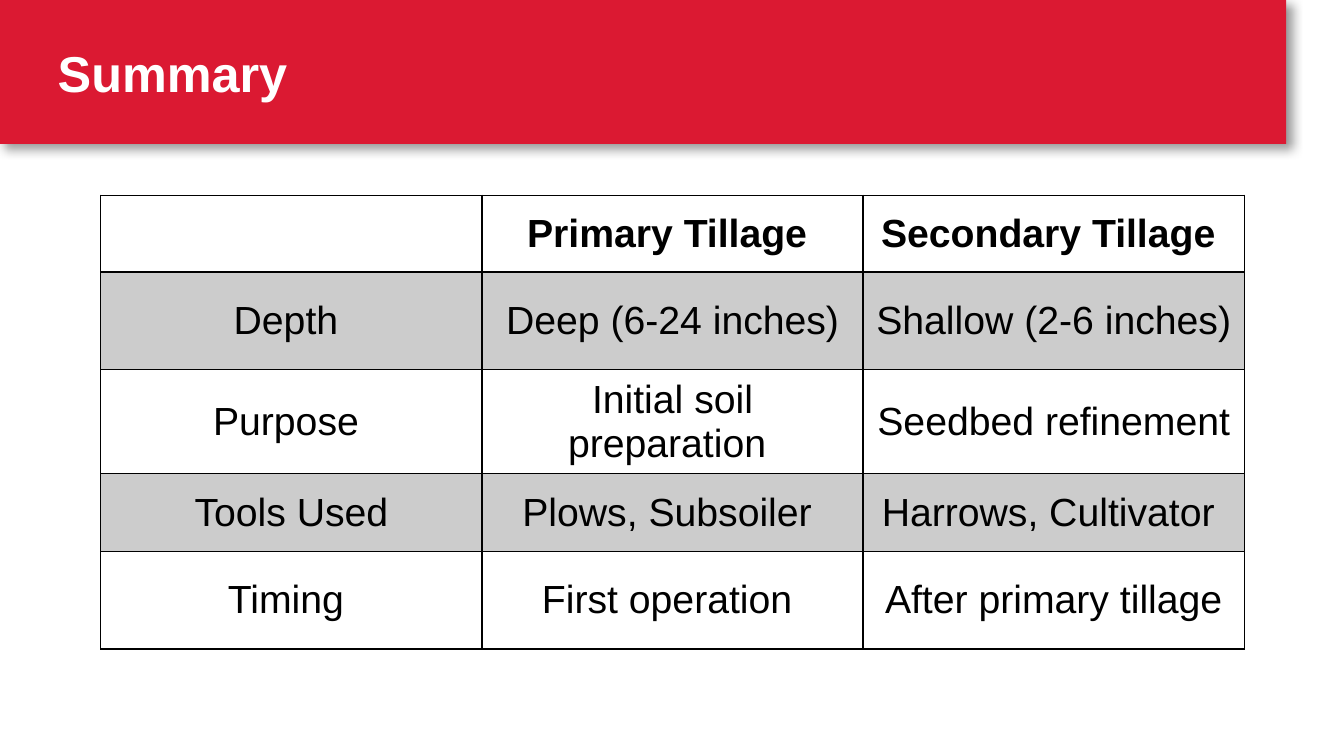
import pptx
import pptx.util
import pptx.dml.color
import pptx.enum.shapes
import pptx.enum.text
import pptx.oxml
import pptx.oxml.ns

PX = 9525
ROWS = [
    ("", "Primary Tillage ", "Secondary Tillage "),
    ("Depth ", "Deep (6-24 inches)", "Shallow (2-6 inches)"),
    ("Purpose ", "Initial soil preparation ", "Seedbed refinement "),
    ("Tools Used", "Plows, Subsoiler ", "Harrows, Cultivator "),
    ("Timing ", "First operation ", "After primary tillage"),
]
ROW_HEIGHTS = [73, 93, 93, 74, 93]


def px(*lengths):
    return [pptx.util.Emu(n * PX) for n in lengths]


def rgb(color):
    return pptx.dml.color.RGBColor.from_string(color)


def xml(body):
    ns = pptx.oxml.ns.nsdecls("a")
    return pptx.oxml.parse_xml(body.replace(" ", f" {ns} ", 1))


def write(tf, text, size=28, color="000000", bold=False, align="LEFT", spacing=None):
    p = tf.paragraphs[0]
    p.alignment = getattr(pptx.enum.text.PP_ALIGN, align)
    p.line_spacing = spacing
    if not text:
        return
    r = p.add_run()
    r.text = text
    r.font.name = "Arial"
    r.font.size = pptx.util.Pt(size)
    r.font.bold = bold
    r.font.color.rgb = rgb(color)


def add_banner(s, x, y, w, h, title):
    sp = s.shapes.add_shape(pptx.enum.shapes.MSO_SHAPE.RECTANGLE, *px(x, y, w, h))
    sp.fill.solid()
    sp.fill.fore_color.rgb = rgb("DB1932")
    sp.line.fill.background()
    sp.shadow.inherit = False
    effects = sp.element.spPr.find(pptx.oxml.ns.qn("a:effectLst"))
    effects.append(xml(
        '<a:outerShdw blurRad="101600" dist="63500" dir="2700000" algn="tl" rotWithShape="0">'
        '<a:srgbClr val="000000"><a:alpha val="40000"/></a:srgbClr></a:outerShdw>'))

    box = s.shapes.add_textbox(*px(x + 55, y + 12, w - 94, h - 13))
    tf = box.text_frame
    tf.word_wrap = True
    tf.margin_left = tf.margin_top = tf.margin_right = tf.margin_bottom = 0
    tf.vertical_anchor = pptx.enum.text.MSO_ANCHOR.MIDDLE
    write(tf, title, size=36, color="FFFFFF", bold=True, spacing=0.8)


def set_borders(cell, widths):
    tcPr = cell._tc.get_or_add_tcPr()
    for side, width in widths.items():
        tcPr.append(xml(
            f'<a:ln{side} w="{width * 12700}">'
            '<a:solidFill><a:srgbClr val="000000"/></a:solidFill>'
            f'</a:ln{side}>'))


def set_fill(cell, shaded):
    if not shaded:
        cell.fill.background()
        return
    cell.fill.solid()
    cell.fill.fore_color.rgb = rgb("000000")
    color = next(cell._tc.tcPr.find(pptx.oxml.ns.qn("a:solidFill")).iterchildren())
    color.append(xml('<a:alpha val="20000"/>'))


def add_summary_table(s, x, y, w, rows, heights):
    frame = s.shapes.add_table(len(rows), len(rows[0]), *px(x, y, w, sum(heights)))
    table = frame.table
    table.first_row = table.horz_banding = False
    for column in table.columns:
        column.width = px(w // len(rows[0]))[0]
    for i, (texts, height) in enumerate(zip(rows, heights)):
        table.rows[i].height = px(height)[0]
        for j, text in enumerate(texts):
            cell = table.cell(i, j)
            cell.vertical_anchor = pptx.enum.text.MSO_ANCHOR.MIDDLE
            set_borders(cell, {"L": 1, "R": 1, "T": 2 if i == 1 else 1, "B": 2 if i == 0 else 1})
            set_fill(cell, i % 2 == 1)
            write(cell.text_frame, text, bold=i == 0, align="CENTER")


def main():
    prs = pptx.Presentation()
    prs.slide_width, prs.slide_height = px(1280, 720)
    s = prs.slides.add_slide(prs.slide_layouts[6])
    add_banner(s, 0, 0, 1225, 137, "Summary")
    add_summary_table(s, 96, 186, 1089, ROWS, ROW_HEIGHTS)
    prs.save("out.pptx")


if __name__ == "__main__":
    main()
